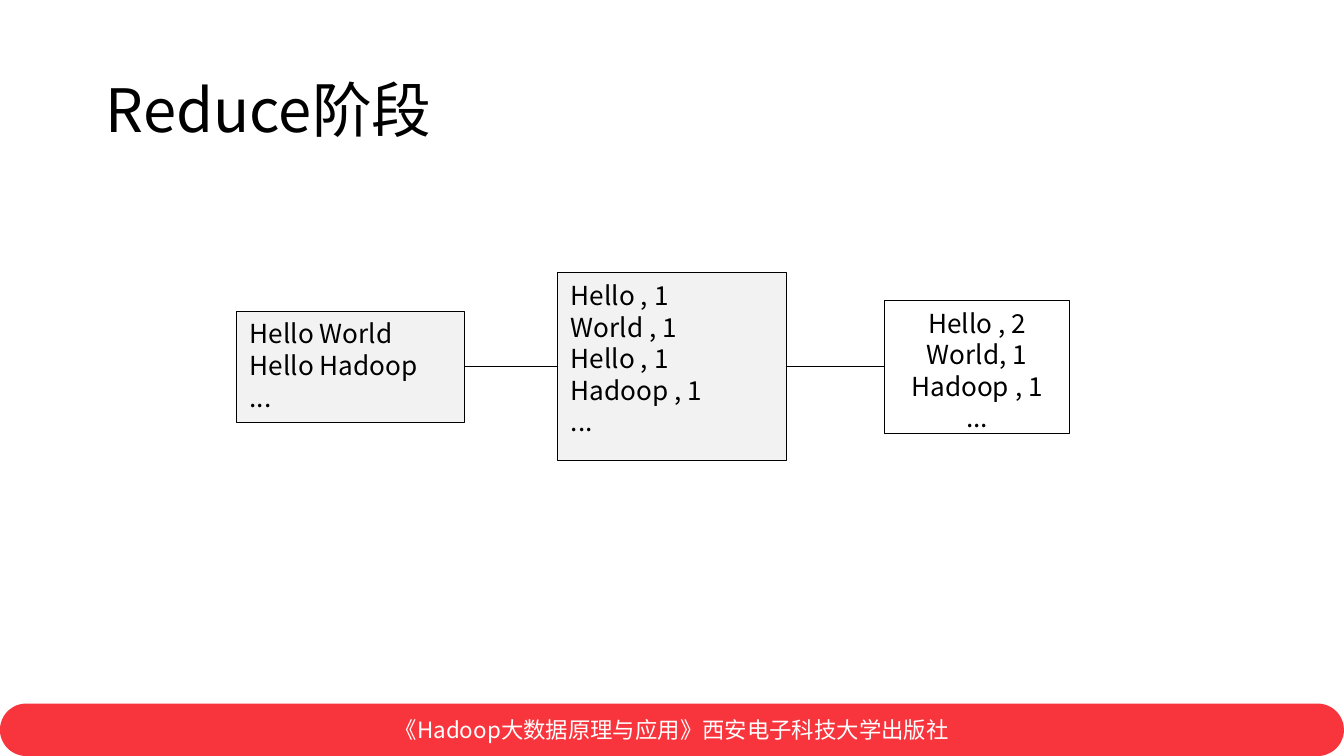
from lxml.etree import SubElement
from pptx import Presentation
from pptx.dml.color import RGBColor
from pptx.enum.shapes import MSO_CONNECTOR as Connector, MSO_SHAPE as Shape
from pptx.enum.text import MSO_ANCHOR as Anchor, PP_ALIGN as Align
from pptx.oxml.ns import qn
from pptx.util import Inches, Pt

FONT = "Noto Sans CJK SC"
BLACK = RGBColor(0x00, 0x00, 0x00)
WHITE = RGBColor(0xFF, 0xFF, 0xFF)
GRAY = RGBColor(0xF2, 0xF2, 0xF2)
RED = RGBColor(0xF8, 0x35, 0x3D)
LINE_WIDTH = Pt(0.5)

# Slide in 16:9 format
SLIDE_WIDTH = 10
SLIDE_HEIGHT = SLIDE_WIDTH * 9 / 16
BAND_HEIGHT = 0.39
STAGE_MIDDLE = 2.73

# Content
TITLE = "Reduce阶段"
FOOTER = "《Hadoop大数据原理与应用》西安电子科技大学出版社"
# Left, width, height, fill, alignment, lines
STAGES = [
    (1.76, 1.70, 0.83, GRAY, Align.JUSTIFY,
     ["Hello World", "Hello Hadoop", "..."]),
    (4.15, 1.70, 1.40, GRAY, Align.JUSTIFY,
     ["Hello , 1", "World , 1", "Hello , 1", "Hadoop , 1", "..."]),
    (6.58, 1.38, 0.99, WHITE, Align.CENTER,
     ["Hello , 2", "World, 1", "Hadoop , 1", "..."]),
]


def write_text(shape, lines, size, color=BLACK, align=Align.LEFT,
               anchor=Anchor.MIDDLE, spacing=None):
    frame = shape.text_frame
    frame.word_wrap = True
    frame.vertical_anchor = anchor
    for index, line in enumerate(lines):
        paragraph = frame.add_paragraph() if index else frame.paragraphs[0]
        paragraph.alignment = align
        paragraph.line_spacing = spacing
        run = paragraph.add_run()
        run.text = line
        run.font.size = Pt(size)
        run.font.name = FONT
        run.font.color.rgb = color
        # East Asian typeface
        SubElement(run.font._element, qn("a:ea"), typeface=FONT)


def add_box(slide, kind, left, top, width, height, fill, outline=None):
    box = slide.shapes.add_shape(
        kind, Inches(left), Inches(top), Inches(width), Inches(height))
    box.shadow.inherit = False
    box.fill.solid()
    box.fill.fore_color.rgb = fill
    if outline is None:
        box.line.fill.background()
    else:
        box.line.color.rgb = outline
        box.line.width = LINE_WIDTH
    return box


def join(slide, source, target):
    connector = slide.shapes.add_connector(Connector.STRAIGHT, 0, 0, 0, 0)
    connector.begin_connect(source, 3)
    connector.end_connect(target, 1)
    connector.line.color.rgb = BLACK
    connector.line.width = LINE_WIDTH
    SubElement(connector._element.spPr, qn("a:effectLst"))


def main():
    presentation = Presentation()
    presentation.slide_width = Inches(SLIDE_WIDTH)
    presentation.slide_height = Inches(SLIDE_HEIGHT)
    slide = presentation.slides.add_slide(presentation.slide_layouts[6])

    # Footer band along the bottom edge
    band = add_box(slide, Shape.ROUNDED_RECTANGLE, 0,
                   SLIDE_HEIGHT - BAND_HEIGHT, SLIDE_WIDTH, BAND_HEIGHT, RED)
    band.adjustments[0] = 0.5
    write_text(band, [FOOTER], 12, color=WHITE, align=Align.CENTER)

    # Title
    title = slide.shapes.add_textbox(
        Inches(0.69), Inches(0.3), Inches(8.62), Inches(1.09))
    write_text(title, [TITLE], 32, spacing=0.9)

    # Stages, centred on one horizontal axis
    boxes = []
    for left, width, height, fill, align, lines in STAGES:
        box = add_box(slide, Shape.RECTANGLE, left, STAGE_MIDDLE - height / 2,
                      width, height, fill, outline=BLACK)
        write_text(box, lines, 14, align=align, anchor=Anchor.TOP,
                   spacing=Pt(16.9))
        boxes.append(box)

    # Links between neighbouring stages
    for source, target in zip(boxes, boxes[1:]):
        join(slide, source, target)

    presentation.save("out.pptx")


if __name__ == "__main__":
    main()
